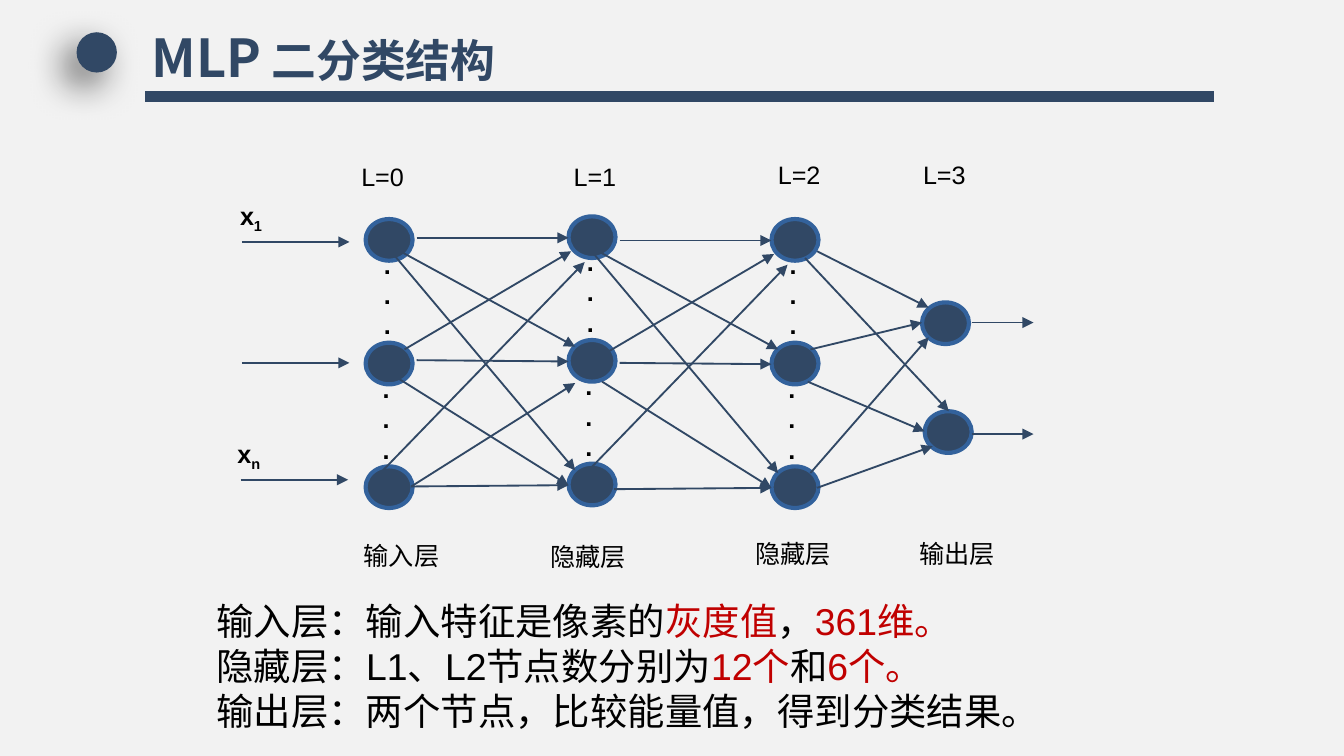
from itertools import product

from lxml.etree import SubElement
from pptx import Presentation
from pptx.dml.color import RGBColor
from pptx.enum.shapes import MSO_CONNECTOR as Link, MSO_SHAPE as Shape
from pptx.enum.text import MSO_ANCHOR as Anchor, MSO_AUTO_SIZE as Fit, PP_ALIGN as Align
from pptx.oxml.ns import qn
from pptx.util import Inches, Pt

NAVY, RIM, BLACK, RED, PAPER = "314865", "33629C", "000000", "C00000", "F2F2F2"
LATIN, CHINESE = "Arial", "Noto Sans CJK SC"
CELL = 0.1  # the grid has 100 columns and 56.25 rows of this many inches
SPACES = 1.56  # inset that sets symbols in from the left edge of their box


def paint(target, colour):
    """Give a fill or a font colour format a solid colour."""
    if hasattr(target, "solid"):
        target.solid()
        target = target.fore_color
    target.rgb = RGBColor.from_string(colour)


def grid(*cells):
    return [Inches(cell * CELL) for cell in cells]


class Board:
    """Holds the diagram's style and the slide being drawn."""

    node_size = (3.5, 3.1)
    label = {"size": Pt(13.5), "name": LATIN, "bold": False}
    symbol = {**label, "bold": True}
    heading = {"size": Pt(28), "name": CHINESE, "bold": True}
    reading = {"size": Pt(20), "name": LATIN, "bold": False}

    def __init__(self, deck):
        self.page = deck.slides.add_slide(deck.slide_layouts[1])
        paint(self.page.background.fill, PAPER)

    def span(self, para, text, style, colour=BLACK, baseline=0):
        run = para.add_run()
        run.text = text
        for name, value in style.items():
            setattr(run.font, name, value)
        paint(run.font.color, colour)
        props = run.font._element
        SubElement(props, qn("a:ea"), typeface=CHINESE)
        if baseline:
            props.set("baseline", str(baseline * 1000))

    def set_paras(self, box, paras, style, inset=0):
        """Fill a box; each paragraph is a list of (text, format changes)."""
        frame = box.text_frame
        settings = {"word_wrap": True, "auto_size": Fit.NONE,
                    "vertical_anchor": Anchor.TOP,
                    "margin_left": Inches(0.1 + inset * CELL)}
        for name, value in settings.items():
            setattr(frame, name, value)
        for index, spans in enumerate(paras):
            para = frame.add_paragraph() if index else frame.paragraphs[0]
            props = para._p.get_or_add_pPr()
            props.set("marL", "0")
            props.set("indent", "0")
            SubElement(props, qn("a:buNone"))
            layout = {"alignment": Align.LEFT, "line_spacing": 1.0,
                      "space_before": Pt(0), "space_after": Pt(0)}
            for name, value in layout.items():
                setattr(para, name, value)
            for text, changes in spans:
                self.span(para, text, **{"style": style, **changes})

    def text(self, at, paras, style, inset=0):
        self.set_paras(self.page.shapes.add_textbox(*grid(*at)), paras, style, inset)

    def placeholder(self, index, at, paras, style):
        box = self.page.placeholders[index]
        box.left, box.top, box.width, box.height = grid(*at)
        self.set_paras(box, paras, style)

    def shape(self, kind, at, rim=None):
        shape = self.page.shapes.add_shape(kind, *grid(*at))
        shape.shadow.inherit = False
        paint(shape.fill, NAVY)
        if rim:
            paint(shape.line.fill, rim)
            shape.line.width = Pt(2.25)
        else:
            shape.line.fill.background()
        return shape

    def node(self, left, top):
        self.shape(Shape.OVAL, (left, top, *self.node_size), RIM)

    def cast_shadow(self, shape):
        effects = shape._element.spPr.find(qn("a:effectLst"))
        shadow = SubElement(effects, qn("a:outerShdw"), blurRad=str(Pt(20)),
                            dist=str(Pt(10)), dir=str(135 * 60000),
                            algn="tr", rotWithShape="0")
        colour = SubElement(shadow, qn("a:srgbClr"), val=BLACK)
        SubElement(colour, qn("a:alpha"), val="60000")

    def arrow(self, *ends):
        line = self.page.shapes.add_connector(Link.STRAIGHT, *grid(*ends))
        paint(line.line.fill, NAVY)
        line.line.width = Pt(1)
        SubElement(line.line._get_or_add_ln(), qn("a:tailEnd"), type="triangle")
        SubElement(line._element.spPr, qn("a:effectLst"))


def draw_header(board):
    board.placeholder(0, (10.3, 1.4, 33.7, 5.7), [[
        ("MLP", {"colour": NAVY}),
        (" 二分类结构", {"colour": NAVY, "style": {**board.heading, "size": Pt(24)}}),
    ]], board.heading)
    board.cast_shadow(board.shape(Shape.OVAL, (5.7, 2.4, 3, 3)))
    board.shape(Shape.MATH_MINUS, (-3.6, 5.5, 108.3, 3.4))


def draw_network(board):
    layers = [(27.2, 16.3), (42.3, 16.1), (57.4, 16.3)]
    row_gap = 9.2
    for (left, top), row in product(layers, range(3)):
        board.node(left, top + row * row_gap)
    for (left, top), gap in product(layers, range(2)):
        at = (left - 1.2 - gap * 0.1, top + 1.75 + gap * 9.25, 4.9, 7.8)
        board.text(at, [[(".", {})]] * 3, board.symbol, SPACES)
    for left, top in [(68.6, 22.5), (68.8, 30.6)]:
        board.node(left, top)

    hidden_links = [
        (31, 17.7, 42.3, 17.7), (28.5, 18, 42.8, 25.8), (28.5, 18, 42.8, 35),
        (31, 26.8, 42.3, 26.9), (29.7, 28.2, 42.3, 36.1), (30.1, 26, 42.5, 18.7),
        (30.6, 36.2, 42.3, 36.1), (28.4, 35.1, 43.5, 19.5), (30.6, 36.2, 42.8, 28.5),
    ]
    for ends in hidden_links:
        board.arrow(*ends)
    step, drop = 15.1, 0.2
    for x1, y1, x2, y2 in hidden_links[:-1]:
        board.arrow(x1 + step, y1 + drop, x2 + step, y2 + drop)
    output_links = [
        (60.8, 18.7, 69.1, 22.9), (59.9, 19.2, 70.6, 30.6), (60.3, 26, 68.6, 24),
        (60.1, 28.4, 68.8, 32.1), (60.3, 35.2, 69.1, 25.1), (60.8, 36.3, 69.4, 33.2),
    ]
    for ends in output_links:
        board.arrow(*ends)
    for left, row in [(18, 18), (18, 27), (17.9, 35.7)]:
        board.arrow(left, row, left + 8, row)
    for row in (24, 32.3):
        board.arrow(72.3, row, 76.9, row)


def draw_labels(board):
    for left, top, index in [(15.3, 14.4, "1"), (15.1, 32.1, "n")]:
        board.text((left, top, 6.9, 3.3), [[("x", {}), (index, {"baseline": -25})]],
                   board.symbol, SPACES)
    labels = [
        (25.9, 11.5, "L=0"), (41.7, 11.5, "L=1"), (56.9, 11.4, "L=2"), (67.7, 11.4, "L=3"),
        (26.1, 39.7, "输入层"), (40, 39.8, "隐藏层"), (55.2, 39.6, "隐藏层"), (67.4, 39.6, "输出层"),
    ]
    for left, top, words in labels:
        board.text((left, top, 9.3, 3.3), [[(words, {})]], board.label)


def draw_notes(board):
    red = {"colour": RED}
    board.placeholder(1, (15.1, 44, 67.2, 11.1), [
        [("输入层：输入特征是像素的", {}), ("灰度值", red), ("，", {}), ("361维。", red)],
        [("隐藏层：L1、L2节点数分别为", {}), ("12个", red), ("和", {}), ("6个。", red)],
        [("输出层：两个节点，比较能量值，得到分类结果。", {})],
    ], board.reading)


def main():
    deck = Presentation()
    deck.slide_width, deck.slide_height = grid(100, 56.25)
    board = Board(deck)
    for draw in (draw_header, draw_network, draw_labels, draw_notes):
        draw(board)
    deck.save("out.pptx")


if __name__ == "__main__":
    main()
